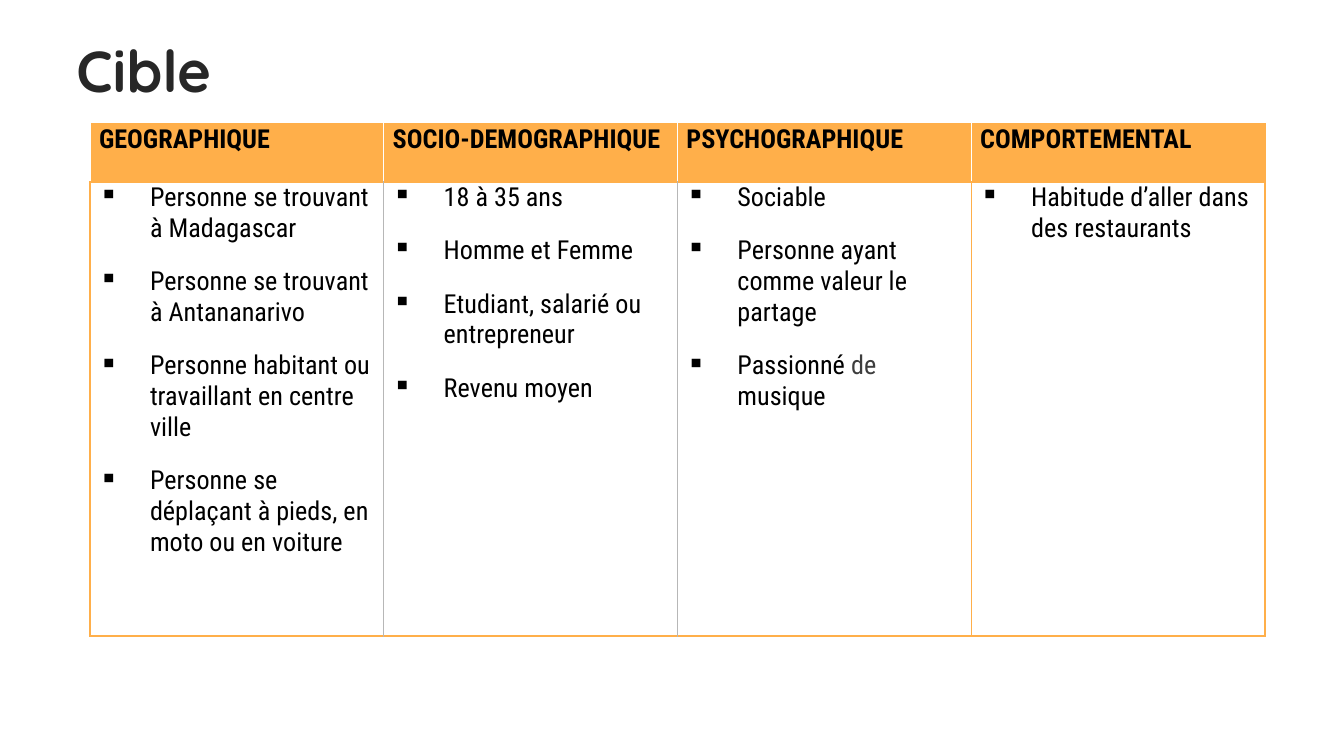
from lxml import etree
from pptx import Presentation
from pptx import util as u
from pptx.dml.color import RGBColor
from pptx.enum import text
from pptx.oxml import ns

PX = 914400 / 134.4
ORANGE = RGBColor(0xFF, 0xAF, 0x4A)
WHITE = RGBColor(0xFF, 0xFF, 0xFF)
GREY = RGBColor(0xB7, 0xB7, 0xB7)
BLACK = RGBColor(0, 0, 0)
CHARCOAL = RGBColor(0x27, 0x27, 0x27)
DARK_GREY = RGBColor(0x3D, 0x3D, 0x3D)
TITLE_FONT = "Quicksand"
TABLE_FONT = "Roboto Condensed"

SEGMENTS = {
    "GEOGRAPHIQUE": [
        "Personne se trouvant à Madagascar",
        "Personne se trouvant à Antananarivo",
        "Personne habitant ou travaillant en centre ville",
        "Personne se déplaçant à pieds, en moto ou en voiture",
    ],
    "SOCIO-DEMOGRAPHIQUE": [
        "18 à 35 ans",
        "Homme et Femme",
        "Etudiant, salarié ou entrepreneur",
        "Revenu moyen",
    ],
    "PSYCHOGRAPHIQUE": [
        "Sociable",
        "Personne ayant comme valeur le partage",
        [("Passionné ", BLACK), ("de", DARK_GREY), (" musique", BLACK)],
    ],
    "COMPORTEMENTAL": ["Habitude d’aller dans des restaurants"],
}


def px(length):
    """Turn pixels into EMU."""
    return u.Emu(round(length * PX))


def add_run(paragraph, wording, font, size, color, bold=False):
    """Add one formatted run to a paragraph."""
    run = paragraph.add_run()
    run.text = wording
    run.font.name = font
    run.font.size = u.Pt(size)
    run.font.bold = bold
    run.font.color.rgb = color


def space(paragraph, points):
    """Set equal spacing before and after a paragraph."""
    paragraph.space_before = paragraph.space_after = u.Pt(points)


def set_bullet(paragraph, symbol, indent):
    """Give a paragraph a black bullet with a hanging indent."""
    properties = paragraph._p.get_or_add_pPr()
    properties.set("marL", str(px(indent)))
    properties.set("indent", str(-px(indent)))
    color = etree.SubElement(properties, ns.qn("a:buClr"))
    etree.SubElement(color, ns.qn("a:srgbClr"), val=str(BLACK))
    etree.SubElement(properties, ns.qn("a:buChar"), char=symbol)


def set_borders(cell, left, right):
    """Draw a cell's borders, orange above and below."""
    properties = cell._tc.get_or_add_tcPr()
    sides = zip(("L", "R", "T", "B"), (left, right, ORANGE, ORANGE))
    for position, (side, color) in enumerate(sides):
        line = etree.Element(ns.qn(f"a:ln{side}"), w=str(u.Pt(0.75)))
        fill = etree.SubElement(line, ns.qn("a:solidFill"))
        etree.SubElement(fill, ns.qn("a:srgbClr"), val=str(color))
        properties.insert(position, line)


def set_margins(cell):
    """Set the narrow side margins of a cell."""
    cell.margin_left = cell.margin_right = px(9)
    cell.margin_top = cell.margin_bottom = 0


def fill_header(cell, heading, right):
    """Write a column heading on orange."""
    set_margins(cell)
    cell.fill.solid()
    cell.fill.fore_color.rgb = ORANGE
    set_borders(cell, WHITE, right)
    paragraph = cell.text_frame.paragraphs[0]
    paragraph.alignment = text.PP_ALIGN.JUSTIFY
    space(paragraph, 12)
    add_run(paragraph, heading, TABLE_FONT, 14, BLACK, True)


def fill_criteria(cell, criteria, left, right):
    """Write the bulleted criteria of one segment."""
    set_margins(cell)
    cell.fill.background()
    set_borders(cell, left, right)
    frame = cell.text_frame
    for index, criterion in enumerate(criteria):
        paragraph = frame.add_paragraph() if index else frame.paragraphs[0]
        space(paragraph, 6)
        set_bullet(paragraph, "▪", 51)
        parts = [(criterion, BLACK)] if isinstance(criterion, str) else criterion
        for wording, color in parts:
            add_run(paragraph, wording, TABLE_FONT, 14, color)


def set_title(slide, wording):
    """Place and format the title placeholder."""
    title = slide.shapes.title
    title.left, title.top, title.width, title.height = map(px, (63, 21, 1133, 85))
    frame = title.text_frame
    frame.word_wrap = True
    frame.auto_size = text.MSO_AUTO_SIZE.NONE
    frame.vertical_anchor = text.MSO_ANCHOR.TOP
    frame.margin_left = frame.margin_right = u.Inches(0.1)
    frame.margin_top = frame.margin_bottom = u.Inches(0.1)
    paragraph = frame.paragraphs[0]
    paragraph.alignment = text.PP_ALIGN.LEFT
    add_run(paragraph, wording, TITLE_FONT, 31, CHARCOAL, True)


def add_segment_table(slide):
    """Add the table with one column per segment."""
    count = len(SEGMENTS)
    frame = slide.shapes.add_table(2, count, px(90), px(124), px(1175), px(512))
    table = frame.table
    table.first_row = table.horz_banding = False
    for row, height in zip(table.rows, (58, 454)):
        row.height = px(height)
    edges = [ORANGE, GREY, GREY, ORANGE, ORANGE]
    for index, (heading, criteria) in enumerate(SEGMENTS.items()):
        table.columns[index].width = px(1175 / count)
        header_right = ORANGE if index == count - 1 else WHITE
        fill_header(table.cell(0, index), heading, header_right)
        fill_criteria(table.cell(1, index), criteria, edges[index], edges[index + 1])


def main():
    """Build the target audience slide."""
    deck = Presentation()
    deck.slide_width, deck.slide_height = px(1344), px(756)
    slide = deck.slides.add_slide(deck.slide_layouts[5])
    set_title(slide, "Cible")
    add_segment_table(slide)
    deck.save("out.pptx")


if __name__ == "__main__":
    main()
